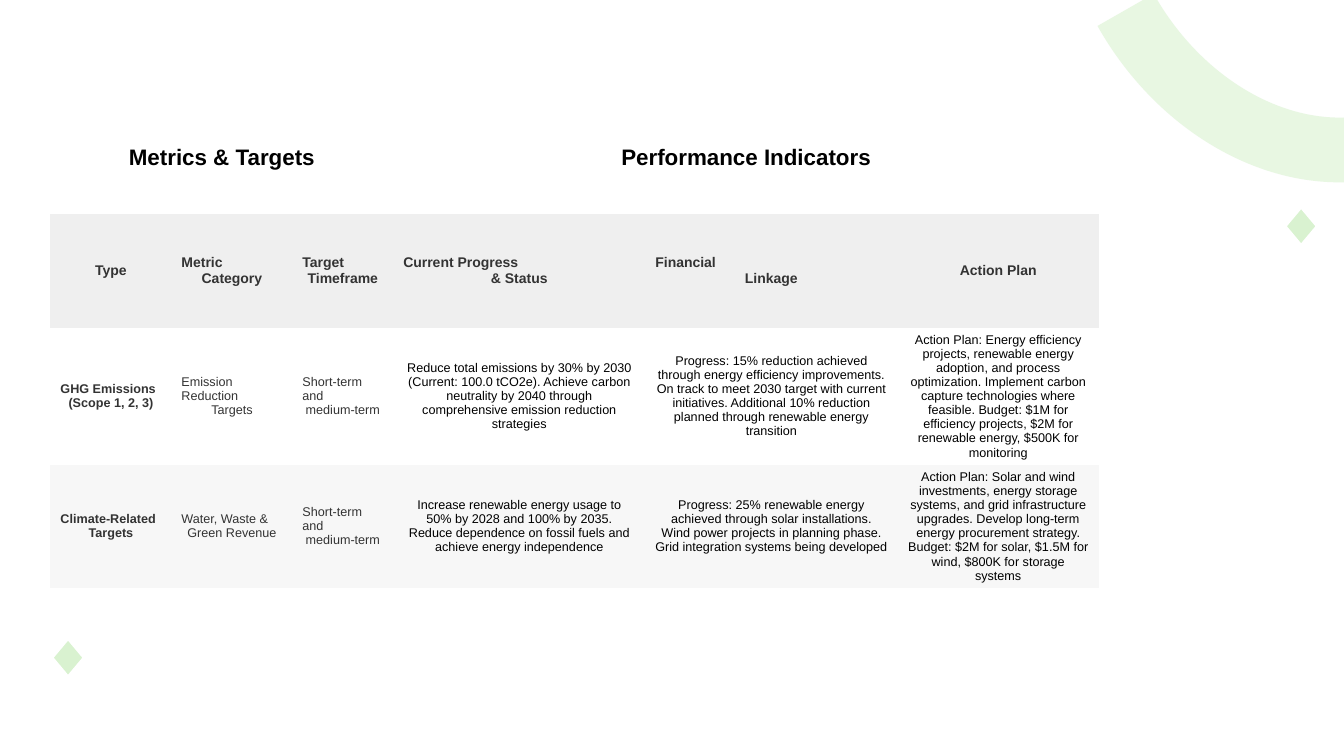
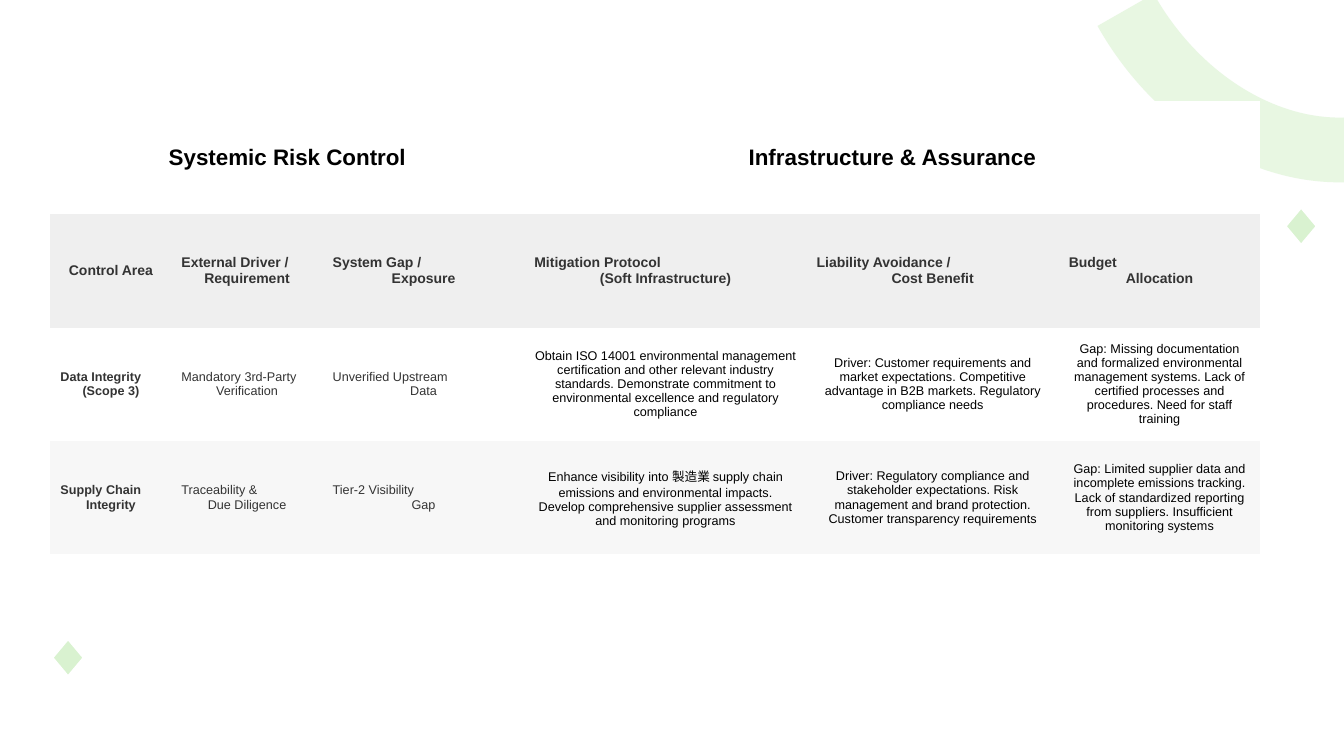
"""Build two sustainability table slides: metrics and targets, and systemic risk control."""
from dataclasses import dataclass

from lxml import etree
from pptx import Presentation
from pptx import util as u
from pptx.dml.color import RGBColor
from pptx.enum import shapes, text
from pptx.oxml import ns


@dataclass(frozen=True)
class Theme:
    font: str = "Arial"
    black: str = "000000"
    grey: str = "333333"
    white: str = "FFFFFF"
    header: str = "EFEFEF"
    band: str = "F7F7F7"
    green: str = "D9F2D0"
    title_size: float = 16
    header_size: float = 10
    body_size: float = 9
    table_style: str = "{2D5ABB26-0587-4C30-8999-92F81FD0307C}"


def add_text(p, content, *, font, size, color, bold=False, align=text.PP_ALIGN.CENTER):
    p.alignment = align
    r = p.add_run()
    r.text = content
    r.font.name = font
    r.font.size = u.Pt(size)
    r.font.bold = bold
    r.font.color.rgb = RGBColor.from_string(color)


class Deck:
    def __init__(self, theme):
        self.theme = theme
        self.prs = Presentation()
        self.prs.slide_width = u.Inches(13.33)
        self.prs.slide_height = u.Inches(7.5)
        self.layout = self.prs.slide_layouts[6]
        self.s = None

    def new_slide(self):
        self.s = self.prs.slides.add_slide(self.layout)

    def shape(self, kind, left, top, width, height, line, weight, fill=None):
        sp = self.s.shapes.add_shape(kind, *map(u.Inches, (left, top, width, height)))
        sp.shadow.inherit = False
        if fill:
            sp.fill.solid()
            sp.fill.fore_color.rgb = RGBColor.from_string(fill)
        else:
            sp.fill.background()
        sp.line.color.rgb = RGBColor.from_string(line)
        sp.line.width = u.Pt(weight)
        return sp

    def decorate_layout(self):
        t = self.theme
        arc = self.shape(shapes.MSO_SHAPE.ARC, 10.9, -3.38, 4, 4.97, t.green, 46.25)
        arc.rotation = 151.3
        arc.adjustments[0] = 152.05
        arc.adjustments[1] = 215.37
        color = arc.element.find(f".//{ns.qn('a:ln')}//{ns.qn('a:srgbClr')}")
        etree.SubElement(color, ns.qn("a:alpha"), val="60000")
        diamonds = [
            self.shape(shapes.MSO_SHAPE.DIAMOND, left, top, 0.31, 0.37, t.white, 1.5, t.green)
            for left, top in ((12.75, 2.06), (0.52, 6.34))
        ]
        for sp in (arc, *diamonds):
            self.layout.shapes.element.append(sp.element)

    def cell(self, cell, content, fill, **fmt):
        cell.fill.solid()
        cell.fill.fore_color.rgb = RGBColor.from_string(fill)
        cell.vertical_anchor = text.MSO_ANCHOR.MIDDLE
        tf = cell.text_frame
        *leading, last = content.split("\n")
        p = tf.paragraphs[0]
        for line in leading:
            add_text(p, line, font=self.theme.font, align=text.PP_ALIGN.LEFT, **fmt)
            p = tf.add_paragraph()
        add_text(p, last, font=self.theme.font, **fmt)

    def table(self, widths, groups, headers, rows):
        t = self.theme
        height = 4.5
        count = len(rows) + 2
        frame = self.s.shapes.add_table(
            count, len(widths), u.Inches(0.5), u.Inches(1),
            u.Inches(sum(widths)), u.Inches(height))
        frame.element.find(f".//{ns.qn('a:tableStyleId')}").text = t.table_style
        tbl = frame.table
        tbl.first_row = tbl.horz_banding = False
        for column, width in zip(tbl.columns, widths):
            column.width = u.Inches(width)
        for row in tbl.rows:
            row.height = u.Inches(height / count)

        span = len(widths) // len(groups)
        for i, group in enumerate(groups):
            first = tbl.cell(0, i * span)
            first.merge(tbl.cell(0, (i + 1) * span - 1))
            self.cell(first, group, t.white, size=t.title_size, color=t.black, bold=True)
        for col, header in enumerate(headers):
            self.cell(tbl.cell(1, col), header, t.header,
                      size=t.header_size, color=t.grey, bold=True)
        for i, row in enumerate(rows):
            for col, content in enumerate(row):
                self.cell(tbl.cell(i + 2, col), content, t.band if i % 2 else t.white,
                          size=t.body_size, color=t.grey if col < span else t.black,
                          bold=col == 0)


TABLES = [
    dict(
        widths=(1.2, 1.2, 1, 2.5, 2.5, 2),
        groups=("Metrics & Targets", "Performance Indicators"),
        headers=("Type", "Metric\nCategory", "Target\nTimeframe",
                 "Current Progress\n& Status", "Financial\nLinkage", "Action Plan"),
        rows=[
            ("GHG Emissions\n(Scope 1, 2, 3)",
             "Emission Reduction\nTargets",
             "Short-term\nand\nmedium-term",
             "Reduce total emissions by 30% by 2030 (Current: 100.0 tCO2e). Achieve carbon "
             "neutrality by 2040 through comprehensive emission reduction strategies",
             "Progress: 15% reduction achieved through energy efficiency improvements. "
             "On track to meet 2030 target with current initiatives. Additional 10% "
             "reduction planned through renewable energy transition",
             "Action Plan: Energy efficiency projects, renewable energy adoption, and "
             "process optimization. Implement carbon capture technologies where feasible. "
             "Budget: $1M for efficiency projects, $2M for renewable energy, $500K for "
             "monitoring"),
            ("Climate-Related\nTargets",
             "Water, Waste &\nGreen Revenue",
             "Short-term\nand\nmedium-term",
             "Increase renewable energy usage to 50% by 2028 and 100% by 2035. Reduce "
             "dependence on fossil fuels and achieve energy independence",
             "Progress: 25% renewable energy achieved through solar installations. Wind "
             "power projects in planning phase. Grid integration systems being developed",
             "Action Plan: Solar and wind investments, energy storage systems, and grid "
             "infrastructure upgrades. Develop long-term energy procurement strategy. "
             "Budget: $2M for solar, $1.5M for wind, $800K for storage systems"),
        ],
    ),
    dict(
        widths=(1.2, 1.5, 2, 2.8, 2.5, 2),
        groups=("Systemic Risk Control", "Infrastructure & Assurance"),
        headers=("Control Area", "External Driver /\nRequirement", "System Gap /\nExposure",
                 "Mitigation Protocol\n(Soft Infrastructure)",
                 "Liability Avoidance /\nCost Benefit", "Budget\nAllocation"),
        rows=[
            ("Data Integrity\n(Scope 3)",
             "Mandatory 3rd-Party\nVerification",
             "Unverified Upstream\nData",
             "Obtain ISO 14001 environmental management certification and other relevant "
             "industry standards. Demonstrate commitment to environmental excellence and "
             "regulatory compliance",
             "Driver: Customer requirements and market expectations. Competitive advantage "
             "in B2B markets. Regulatory compliance needs",
             "Gap: Missing documentation and formalized environmental management systems. "
             "Lack of certified processes and procedures. Need for staff training"),
            ("Supply Chain\nIntegrity",
             "Traceability &\nDue Diligence",
             "Tier-2 Visibility\nGap",
             "Enhance visibility into 製造業 supply chain emissions and environmental "
             "impacts. Develop comprehensive supplier assessment and monitoring programs",
             "Driver: Regulatory compliance and stakeholder expectations. Risk management "
             "and brand protection. Customer transparency requirements",
             "Gap: Limited supplier data and incomplete emissions tracking. Lack of "
             "standardized reporting from suppliers. Insufficient monitoring systems"),
        ],
    ),
]


def main():
    deck = Deck(Theme())
    for content in TABLES:
        deck.new_slide()
        deck.table(**content)
    deck.decorate_layout()
    deck.prs.save("out.pptx")


if __name__ == "__main__":
    main()
